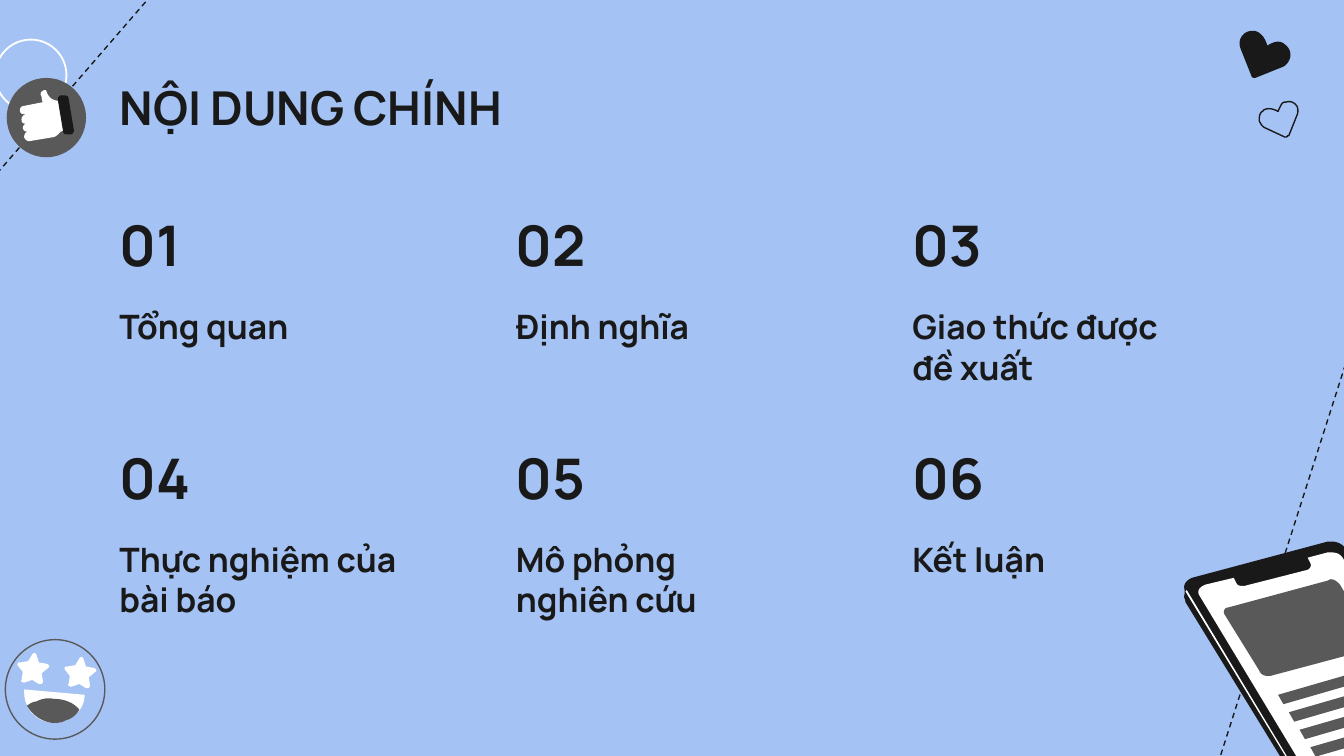
"""Builds the contents slide with six numbered topics and social media artwork."""

import dataclasses

import lxml.etree
import pptx
import pptx.dml.color
import pptx.enum.dml
import pptx.enum.shapes
import pptx.enum.text
import pptx.oxml.ns
import pptx.shapes.base
import pptx.slide
import pptx.util

Inches = pptx.util.Inches
Point = tuple[float, float]

COLORS = {"sky": "A4C2F4", "ink": "191919", "gray": "595959", "white": "FFFFFF"}
FONT = "Manrope"
CURVE_STEPS = 8


@dataclasses.dataclass(frozen=True)
class Outline:
    track: str
    fill: str
    line: str | None = None
    shift: Point = (0, 0)


@dataclasses.dataclass(frozen=True)
class Circle:
    center: Point
    radius: float
    fill: str | None = None
    line: str | None = None
    weight: float = 0.75


@dataclasses.dataclass(frozen=True)
class Topic:
    label: str
    width: float = 2.52


TOPICS = [
    Topic("Tổng quan"), Topic("Định nghĩa"), Topic("Giao thức được đề xuất", 2.12),
    Topic("Thực nghiệm của bài báo"), Topic("Mô phỏng nghiên cứu", 1.83), Topic("Kết luận"),
]
COLUMN_LEFT, COLUMN_STEP = 0.79, 2.95
ROW_TOP, ROW_STEP = 1.68, 1.73
DASHES = [((10.12, 2.37), (9.06, 5.69)), ((1.13, -0.04), (-0.23, 1.53))]

STAR = (
    "M .6 4.89 C .61 4.89 .62 4.89 .62 4.9 L .64 4.96 L .7 4.97 C .72 4.98 .72 4.99 .71 5 L .66 5.04 L .67 5.1 "
    "C .67 5.11 .66 5.12 .66 5.12 C .65 5.12 .65 5.12 .64 5.12 L .59 5.09 L .53 5.11 C .52 5.11 .5 5.1 .51 5.09 "
    "L .52 5.03 L .48 4.98 C .48 4.97 .48 4.96 .49 4.96 L .5 4.96 L .56 4.95 L .59 4.9 C .59 4.9 .6 4.89 .6 4.89"
)
HEARTS = [
    Outline(
        "M 9.32 .23 L 9.34 .23 C 9.41 .25 9.43 .34 9.43 .34 C 9.43 .34 9.47 .31 9.51 .31 C 9.53 .31 9.55 .32 9.56 .33 "
        "C 9.59 .35 9.61 .39 9.6 .43 C 9.59 .46 9.57 .49 9.54 .5 L 9.34 .58 L 9.33 .58 "
        "C 9.32 .58 9.31 .57 9.31 .56 L 9.23 .36 C 9.22 .33 9.22 .3 9.24 .27 C 9.26 .24 9.29 .23 9.32 .23", "ink"),
    Outline(
        "M 9.39 .83 C 9.4 .83 9.4 .82 9.4 .82 C 9.45 .79 9.51 .83 9.51 .83 C 9.51 .83 9.52 .8 9.54 .77 "
        "C 9.55 .76 9.56 .76 9.57 .76 C 9.6 .75 9.63 .76 9.65 .79 C 9.66 .81 9.66 .84 9.65 .86 L 9.59 1.01 L 9.58 1.01 "
        "C 9.58 1.02 9.57 1.02 9.56 1.02 L 9.41 .95 C 9.39 .94 9.38 .92 9.37 .9 C 9.37 .87 9.37 .85 9.39 .83", "sky", "ink"),
]
FACE = [
    Circle((0.41, 5.13), 0.37, "sky", "gray"),
    Outline(
        "M .18 5.13 L .63 5.17 C .63 5.26 .57 5.33 .49 5.36 C .46 5.38 .42 5.38 .39 5.38 "
        "C .26 5.37 .17 5.26 .18 5.13", "white"),
    Outline(
        "M .27 5.22 C .31 5.2 .35 5.19 .4 5.2 C .48 5.2 .55 5.23 .59 5.28 C .57 5.32 .53 5.35 .49 5.36 "
        "C .46 5.38 .42 5.38 .39 5.38 C .31 5.37 .24 5.32 .2 5.25 C .22 5.24 .24 5.22 .27 5.22", "gray"),
    Outline(STAR, "white"),
    Outline(STAR, "white", shift=(-0.35, -0.03)),
]
THUMB = [
    Circle((0.23, 0.56), 0.265, line="white", weight=1),
    Circle((0.345, 0.875), 0.295, "gray"),
    Outline(
        "M .33 .67 L .34 .67 C .35 .68 .35 .7 .36 .71 C .38 .74 .41 .75 .44 .75 L .48 .97 L .45 .98 "
        "C .45 .98 .43 1.01 .4 1.02 L .22 1.05 L .21 1.05 C .2 1.05 .18 1.03 .18 1.02 C .18 1 .19 .98 .21 .98 L .2 .98 "
        "C .19 .98 .17 .97 .17 .95 C .17 .94 .18 .92 .2 .92 L .19 .92 C .17 .92 .16 .91 .16 .89 "
        "C .16 .87 .17 .86 .19 .85 L .18 .85 C .16 .85 .15 .84 .15 .83 C .14 .81 .16 .79 .17 .79 L .32 .76 "
        "C .31 .75 .31 .73 .31 .72 C .3 .71 .3 .69 .31 .68 C .32 .68 .32 .67 .33 .67", "white"),
    Outline(
        "M .48 .71 C .5 .71 .51 .72 .51 .73 L .55 .97 C .55 .98 .54 1 .53 1 L .5 1 "
        "C .48 1 .47 .99 .47 .98 L .43 .74 C .43 .73 .44 .71 .45 .71", "ink"),
]
PHONE = [
    Outline(
        "M 9.91 4.11 C 9.95 4.11 9.99 4.13 10.01 4.16 L 10.9 5.57 L 10.9 5.65 C 10.9 5.68 10.88 5.7 10.85 5.71 "
        "L 9.84 5.98 L 9.81 5.98 C 9.77 5.98 9.73 5.96 9.71 5.93 L 8.82 4.48 C 8.82 4.46 8.81 4.45 8.81 4.44 "
        "C 8.82 4.41 8.81 4.36 8.81 4.36 L 9.88 4.11", "ink"),
    Outline(
        "M 9.91 4.03 C 9.95 4.03 9.99 4.05 10.01 4.08 L 10.89 5.53 C 10.92 5.57 10.9 5.61 10.85 5.63 L 9.84 5.9 "
        "L 9.81 5.9 C 9.77 5.9 9.73 5.88 9.71 5.85 L 8.82 4.39 C 8.8 4.36 8.82 4.32 8.87 4.3 L 9.88 4.03", "ink"),
    Outline(
        "M 8.83 4.39 L 9.71 5.85 C 9.73 5.88 9.77 5.89 9.81 5.89 L 9.84 5.89 L 10.85 5.62 "
        "C 10.87 5.61 10.89 5.6 10.89 5.58 L 10.91 5.59 C 10.9 5.61 10.88 5.63 10.85 5.63 L 9.84 5.9 "
        "C 9.83 5.91 9.82 5.91 9.81 5.91 C 9.77 5.91 9.72 5.89 9.7 5.85 L 8.82 4.4", "white"),
    Outline(
        "M 9.9 4.11 C 9.94 4.11 9.97 4.12 9.99 4.15 L 10.79 5.46 C 10.81 5.5 10.79 5.53 10.75 5.55 L 9.84 5.79 "
        "L 9.81 5.79 C 9.78 5.79 9.74 5.78 9.72 5.75 L 8.93 4.44 C 8.9 4.4 8.92 4.37 8.97 4.35 L 9.18 4.3 "
        "L 9.2 4.34 C 9.21 4.36 9.23 4.36 9.25 4.36 L 9.26 4.36 L 9.73 4.24 C 9.75 4.23 9.76 4.21 9.75 4.19 "
        "L 9.73 4.15 L 9.88 4.11", "white"),
    Outline(
        "M 9.9 4.31 C 9.93 4.31 9.95 4.33 9.97 4.35 L 10.22 4.77 C 10.24 4.79 10.23 4.82 10.2 4.83 L 9.45 5.03 "
        "L 9.43 5.03 C 9.41 5.03 9.38 5.02 9.37 4.99 L 9.11 4.57 C 9.1 4.55 9.11 4.52 9.14 4.52 L 9.88 4.32", "gray"),
    *(Outline("M 10.34 4.93 L 10.38 5 L 9.55 5.24 L 9.51 5.17", "gray", shift=(0.08 * row, 0.13 * row)) for row in range(4)),
]


def color(name: str) -> pptx.dml.color.RGBColor:
    return pptx.dml.color.RGBColor.from_string(COLORS[name])


def trace(track: str) -> list[Point]:
    tokens = iter(track.split())
    points: list[Point] = []
    for command in tokens:
        knots = [(float(next(tokens)), float(next(tokens))) for _ in range(3 if command == "C" else 1)]
        if command != "C":
            points += knots
            continue
        knots.insert(0, points[-1])
        for step in range(1, CURVE_STEPS + 1):
            t = step / CURVE_STEPS
            weights = ((1 - t) ** 3, 3 * t * (1 - t) ** 2, 3 * t * t * (1 - t), t**3)
            x, y = (sum(w * knot[axis] for w, knot in zip(weights, knots)) for axis in (0, 1))
            points.append((x, y))
    return points


def draw(page: pptx.slide.Slide, part: Outline | Circle) -> None:
    if isinstance(part, Circle):
        left, top = (Inches(middle - part.radius) for middle in part.center)
        size = Inches(2 * part.radius)
        shape = page.shapes.add_shape(pptx.enum.shapes.MSO_SHAPE.OVAL, left, top, size, size)
    else:
        dx, dy = part.shift
        points = [(Inches(x + dx), Inches(y + dy)) for x, y in trace(part.track)]
        builder = page.shapes.build_freeform(*points[0], scale=1.0)
        builder.add_line_segments(points[1:], close=True)
        shape = builder.convert_to_shape()
    shape.shadow.inherit = False
    for target, name in ((shape.fill, part.fill), (shape.line.fill, part.line)):
        if name:
            target.solid()
            target.fore_color.rgb = color(name)
        else:
            target.background()
    if part.line:
        shape.line.width = pptx.util.Pt(getattr(part, "weight", 0.75))


def draw_dash(page: pptx.slide.Slide, start: Point, end: Point) -> None:
    dash = page.shapes.add_connector(pptx.enum.shapes.MSO_CONNECTOR.STRAIGHT, *map(Inches, start + end))
    dash.line.color.rgb = color("ink")
    dash.line.width = pptx.util.Pt(0.75)
    dash.line.dash_style = pptx.enum.dml.MSO_LINE.DASH
    lxml.etree.SubElement(dash._element.spPr, pptx.oxml.ns.qn("a:effectLst"))


def write(box: pptx.shapes.base.BaseShape, text: str, *, size: float, anchor: str = "TOP") -> None:
    frame = box.text_frame
    frame.word_wrap = True
    frame.auto_size = pptx.enum.text.MSO_AUTO_SIZE.NONE
    frame.vertical_anchor = pptx.enum.text.MSO_ANCHOR[anchor]
    frame.margin_left = frame.margin_right = frame.margin_top = frame.margin_bottom = Inches(0.1)
    para = frame.paragraphs[0]
    para.alignment = pptx.enum.text.PP_ALIGN.LEFT
    span = para.add_run()
    span.text = text
    span.font.name, span.font.size, span.font.bold = FONT, pptx.util.Pt(size), True
    span.font.color.rgb = color("ink")


def add_topic(page: pptx.slide.Slide, index: int, topic: Topic) -> None:
    row, column = divmod(index, 3)
    left, top = COLUMN_LEFT + column * COLUMN_STEP, ROW_TOP + row * ROW_STEP
    number = page.shapes.add_textbox(*map(Inches, (left, top, 0.8, 0.49)))
    write(number, f"{index + 1:02}", size=30, anchor="BOTTOM")
    label = page.shapes.add_textbox(*map(Inches, (left, top + 0.5, topic.width, 0.8)))
    write(label, topic.label, size=18)


def main() -> None:
    deck = pptx.Presentation()
    deck.slide_width, deck.slide_height = Inches(10), Inches(10 * 9 / 16)
    page = deck.slides.add_slide(deck.slide_layouts[5])
    page.background.fill.solid()
    page.background.fill.fore_color.rgb = color("sky")
    for start, end in DASHES:
        draw_dash(page, start, end)
    for part in HEARTS + FACE + THUMB + PHONE:
        draw(page, part)
    title = page.shapes.title
    title.left, title.top, title.width, title.height = map(Inches, (0.79, 0.49, 8.43, 0.63))
    write(title, "NỘI DUNG CHÍNH", size=25)
    for index, topic in enumerate(TOPICS):
        add_topic(page, index, topic)
    deck.save("out.pptx")


if __name__ == "__main__":
    main()
